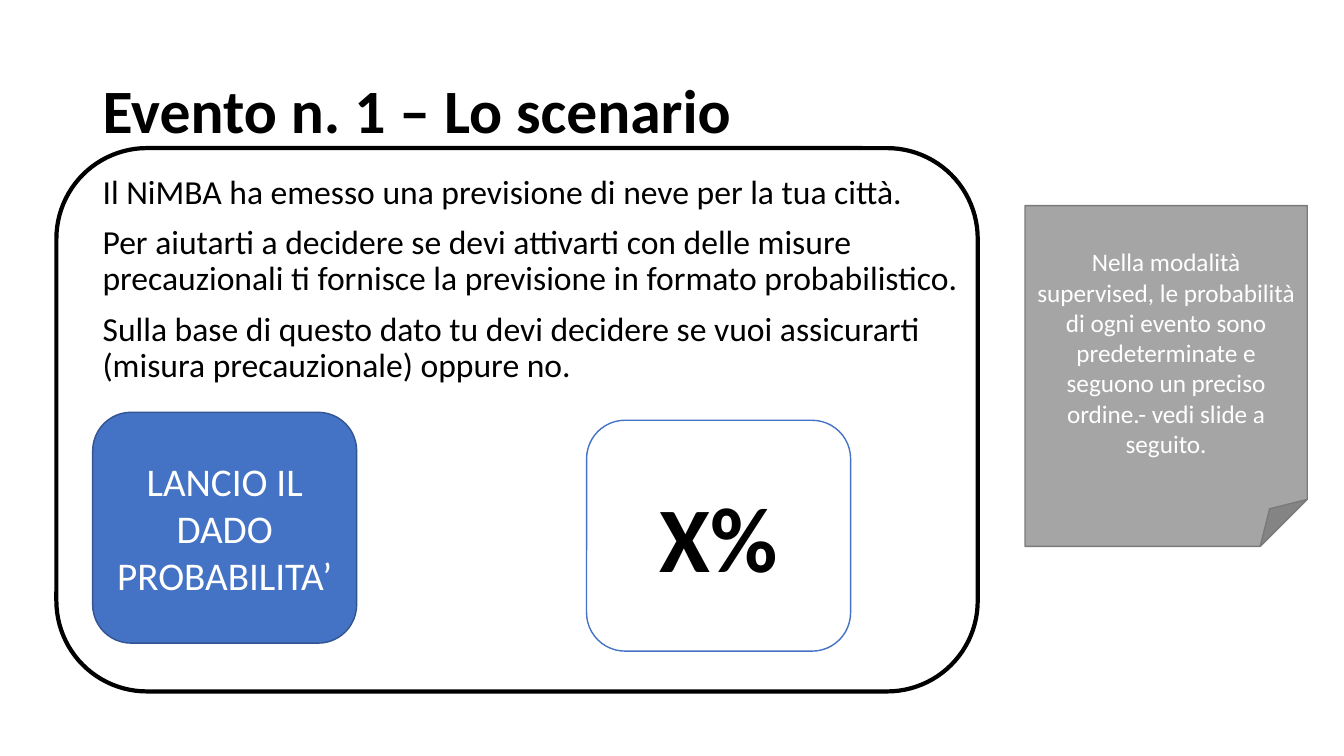
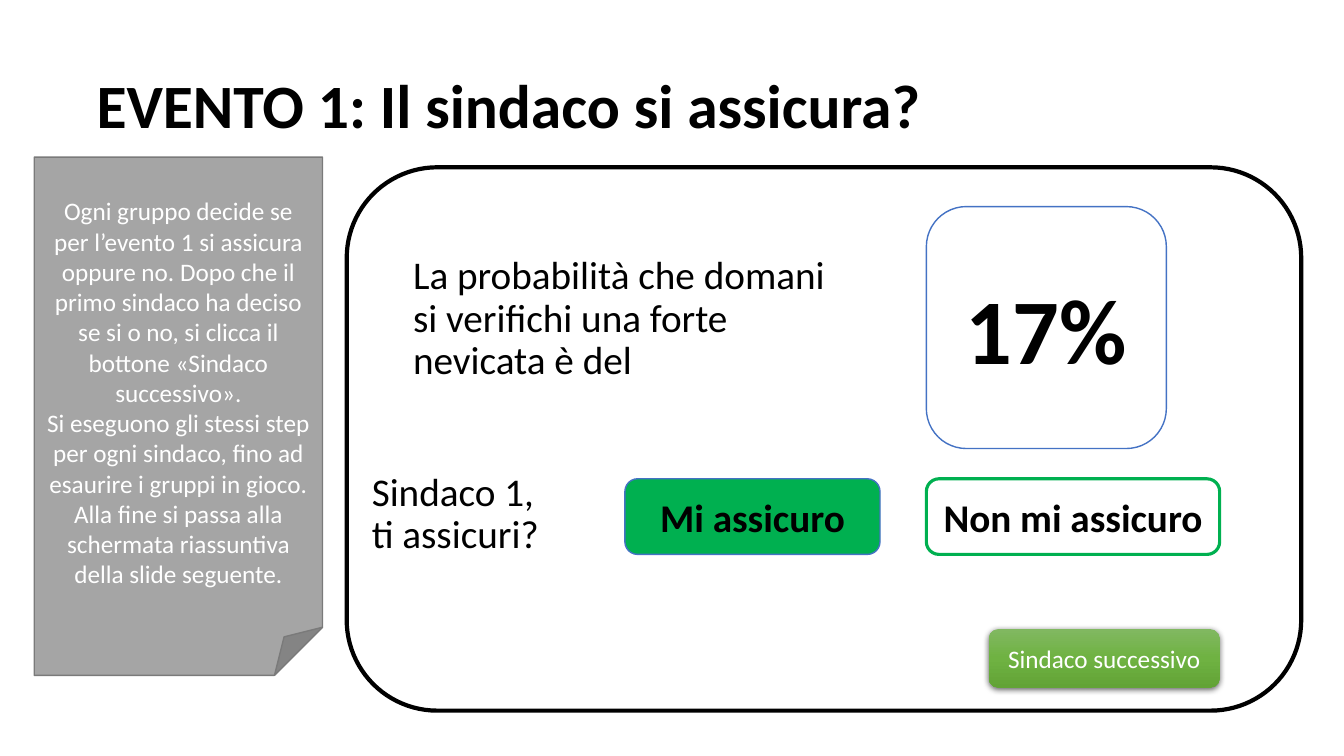
import copy

import pptx
import pptx.dml.color
import pptx.enum.shapes
import pptx.enum.text
import pptx.oxml
import pptx.oxml.ns
import pptx.util

Pt = pptx.util.Pt
SHAPES = pptx.enum.shapes.MSO_SHAPE
ALIGN = pptx.enum.text.PP_ALIGN
ANCHOR = pptx.enum.text.MSO_ANCHOR

FONT = "Calibri"
BLACK, WHITE, BLUE, GREEN = "000000", "FFFFFF", "4472C4", "00B050"
TITLE_SIZE = (828, 104.4)

STYLES = {
    "note": dict(kind=SHAPES.FOLDED_CORNER, fill="A5A5A5", line=("7A7A7A", 1), size=18, color=WHITE),
    "dice": dict(fill=BLUE, line=("325491", 1), size=28, color=WHITE),
    "chance": dict(fill=WHITE, line=(BLUE, 1), size=66, bold=True),
    "yes": dict(fill=GREEN, line=(BLUE, 1), size=28, bold=True),
    "no": dict(line=(GREEN, 2.25), size=28, bold=True),
    "panel": dict(line=(BLACK, 3)),
    "next": dict(gradient=["81B861", "6FB242", "62A336"], size=18, color=WHITE),
}

SLIDES = [
    {
        "title": ("Evento n. 1 – Lo scenario", (66.2, 28.8)),
        "texts": [
            (24, (66.2, 121.7, 641.5, 157), [
                "Il NiMBA ha emesso una previsione di neve per la tua città.",
                "Per aiutarti a decidere se devi attivarti con delle misure precauzionali "
                "ti fornisce la previsione in formato probabilistico.",
                "Sulla base di questo dato tu devi decidere se vuoi assicurarti "
                "(misura precauzionale) oppure no.",
            ]),
        ],
        "boxes": [
            ("dice", (66.2, 294.5, 188.6, 164.9), ["LANCIO IL DADO PROBABILITA’"]),
            ("chance", (419, 300.2, 188.6, 164.9), ["X%"]),
            ("note", (732.2, 146.9, 201.6, 243.4), [
                "Nella modalità supervised, le probabilità di ogni evento sono predeterminate "
                "e seguono un preciso ordine.- vedi slide a seguito.",
            ]),
            ("panel", (40.3, 105.8, 658.1, 388.1), []),
        ],
    },
    {
        "title": ("EVENTO 1: Il sindaco si assicura?", (61.9, 25.2)),
        "texts": [
            (28, (288, 179.3, 316.8, 105.1),
             ["La probabilità che domani si verifichi una forte nevicata è del"]),
            (28, (258.5, 334.1, 434.9, 105.1), ["Sindaco 1,\vti assicuri?"]),
        ],
        "boxes": [
            ("chance", (661.7, 147.6, 171.4, 172.8), ["17%"]),
            ("yes", (446.4, 342, 182.2, 54), ["Mi assicuro"]),
            ("no", (661.7, 342, 209.5, 54), ["Non mi assicuro"]),
            ("note", (24.5, 112.3, 205.9, 370.1), [
                "Ogni gruppo decide se per l’evento 1 si assicura oppure no. Dopo che il primo "
                "sindaco ha deciso se si o no, si clicca il bottone «Sindaco successivo».",
                "Si eseguono gli stessi step per ogni sindaco, fino ad esaurire i gruppi in gioco. "
                "Alla fine si passa alla schermata riassuntiva della slide seguente.",
            ]),
            ("panel", (247.7, 119.5, 681.8, 388.1), []),
            ("next", (706.3, 449.3, 164.9, 41.8), ["Sindaco successivo"]),
        ],
    },
]


def rgb(value):
    return pptx.dml.color.RGBColor.from_string(value)


def write(frame, paragraphs, size, color=BLACK, bold=False, align=ALIGN.LEFT,
          anchor=ANCHOR.TOP, spacing=None, before=0):
    frame.word_wrap = True
    frame.vertical_anchor = anchor
    for index, text in enumerate(paragraphs):
        paragraph = frame.add_paragraph() if index else frame.paragraphs[0]
        paragraph.text = text
        paragraph.alignment = align
        paragraph.line_spacing = spacing
        paragraph.space_before = Pt(before)
        font = paragraph.font
        font.name, font.size, font.bold = FONT, Pt(size), bold
        font.color.rgb = rgb(color)


def add_text(slide, place, paragraphs, size, **look):
    box = slide.shapes.add_textbox(*map(Pt, place))
    write(box.text_frame, paragraphs, size, spacing=0.9, **look)


def paint_gradient(box, colors):
    box.fill.gradient()
    box.fill.gradient_angle = 270
    stops = box._element.spPr.find(".//" + pptx.oxml.ns.qn("a:gsLst"))
    stops.insert(1, copy.deepcopy(stops[0]))
    for index, (stop, color) in enumerate(zip(box.fill.gradient_stops, colors)):
        stop.position = index / (len(colors) - 1)
        stop.color.rgb = rgb(color)


def add_glow_below(box):
    effects = box._element.spPr.find(pptx.oxml.ns.qn("a:effectLst"))
    effects.append(pptx.oxml.parse_xml(
        f'<a:outerShdw {pptx.oxml.ns.nsdecls("a")} blurRad="{Pt(4.5)}" dist="{Pt(1.5)}" '
        'dir="5400000" algn="ctr" rotWithShape="0"><a:srgbClr val="000000">'
        '<a:alpha val="63000"/></a:srgbClr></a:outerShdw>'))


def add_box(slide, place, paragraphs, kind=SHAPES.ROUNDED_RECTANGLE, fill=None,
            gradient=None, line=None, size=18, color=BLACK, bold=False):
    box = slide.shapes.add_shape(kind, *map(Pt, place))
    box.shadow.inherit = False
    if gradient:
        paint_gradient(box, gradient)
        add_glow_below(box)
    elif fill:
        box.fill.solid()
        box.fill.fore_color.rgb = rgb(fill)
    else:
        box.fill.background()
    if line:
        box.line.color.rgb = rgb(line[0])
        box.line.width = Pt(line[1])
    else:
        box.line.fill.background()
    write(box.text_frame, paragraphs, size, color, bold, ALIGN.CENTER, ANCHOR.MIDDLE)


def main():
    deck = pptx.Presentation()
    deck.slide_width, deck.slide_height = Pt(960), Pt(540)
    for content in SLIDES:
        slide = deck.slides.add_slide(deck.slide_layouts[6])
        title, corner = content["title"]
        add_text(slide, corner + TITLE_SIZE, [title], 44, bold=True, anchor=ANCHOR.MIDDLE)
        for size, place, paragraphs in content["texts"]:
            add_text(slide, place, paragraphs, size, before=10)
        for style, place, paragraphs in content["boxes"]:
            add_box(slide, place, paragraphs, **STYLES[style])
    deck.save("out.pptx")


if __name__ == "__main__":
    main()
